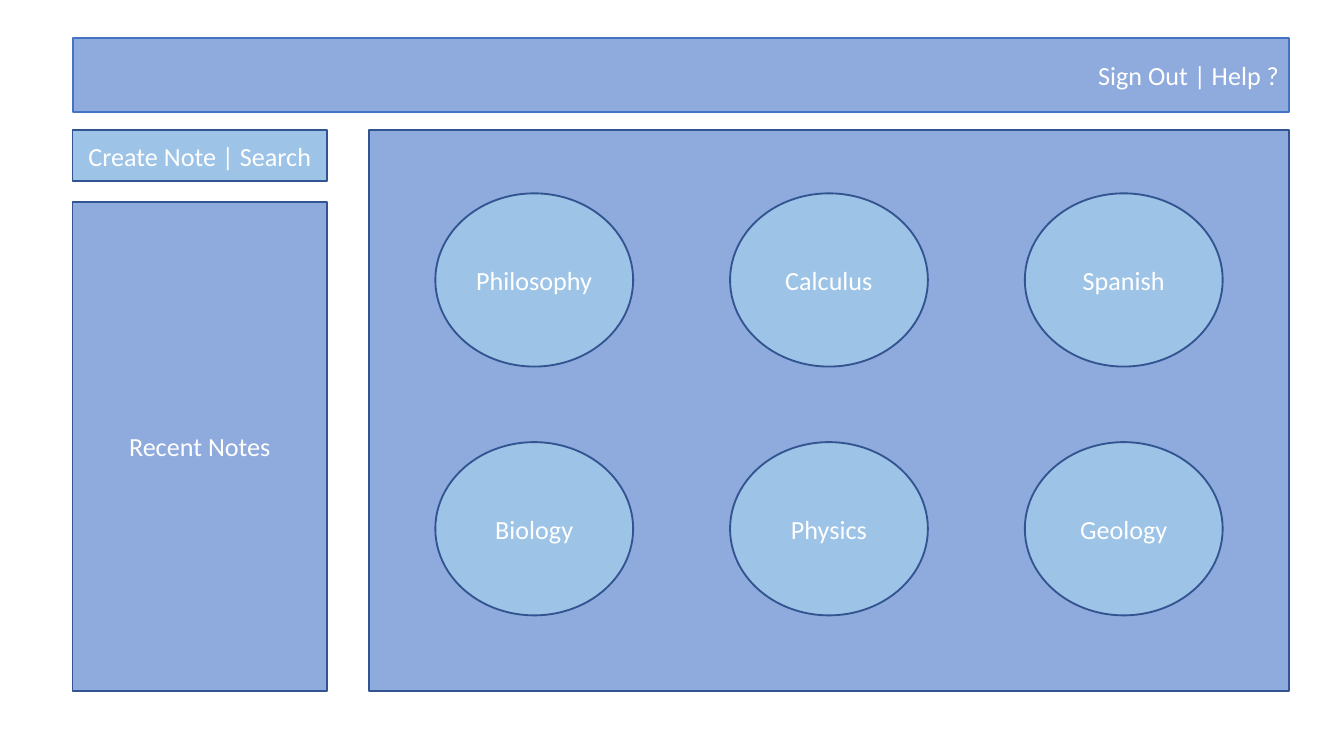
"""Build a wireframe slide of a note-taking app's home screen."""
from dataclasses import dataclass

from pptx import Presentation
from pptx.dml.color import RGBColor
from pptx.enum.shapes import MSO_SHAPE
from pptx.enum.text import MSO_ANCHOR, PP_ALIGN
from pptx.util import Pt


@dataclass(frozen=True)
class Theme:
    """Colours and type of the wireframe."""

    panel: str = "8FAADC"
    accent: str = "9DC3E6"
    outline: str = "325491"
    header_outline: str = "4472C4"
    text: str = "FFFFFF"
    font: str = "Calibri"
    text_size: int = 14
    line_width: int = 1


THEME = Theme()
LEFT, RIGHT = 38.9, 690.6
BODY_TOP, BODY_BOTTOM = 69.8, 370.1
SIDEBAR_WIDTH = 136.4
PANEL_LEFT = 197.5
SUBJECTS = (
    ("Philosophy", "Calculus", "Spanish"),
    ("Biology", "Physics", "Geology"),
)


def set_label(box, label, alignment):
    """Write a one-line label in a shape, centred vertically."""
    frame = box.text_frame
    frame.text = label
    frame.word_wrap = True
    frame.vertical_anchor = MSO_ANCHOR.MIDDLE
    frame.margin_left = frame.margin_right = Pt(5.3)
    frame.margin_top = frame.margin_bottom = Pt(2.7)
    para = frame.paragraphs[0]
    para.alignment = alignment
    for span in para.runs:
        span.font.name = THEME.font
        span.font.size = Pt(THEME.text_size)
        span.font.color.rgb = RGBColor.from_string(THEME.text)


def add_box(page, bounds, label="", fill=THEME.panel, outline=THEME.outline,
            kind=MSO_SHAPE.RECTANGLE, alignment=PP_ALIGN.CENTER):
    """Add a filled, outlined shape with an optional label."""
    box = page.shapes.add_shape(kind, *(Pt(length) for length in bounds))
    box.shadow.inherit = False
    box.fill.solid()
    box.fill.fore_color.rgb = RGBColor.from_string(fill)
    box.line.color.rgb = RGBColor.from_string(outline)
    box.line.width = Pt(THEME.line_width)
    if label:
        set_label(box, label, alignment)


def add_header(page):
    """Add the bar with the account links."""
    add_box(page, (LEFT, 20.4, RIGHT - LEFT, 39.7), "Sign Out | Help ?",
            outline=THEME.header_outline, alignment=PP_ALIGN.RIGHT)


def add_sidebar(page):
    """Add the recent notes list and the action bar above it."""
    notes_top = 108.3
    add_box(page, (LEFT, notes_top, SIDEBAR_WIDTH, BODY_BOTTOM - notes_top),
            "Recent Notes")
    add_box(page, (LEFT, BODY_TOP, SIDEBAR_WIDTH, 27.4),
            "Create Note | Search", fill=THEME.accent)


def add_subjects(page):
    """Add the main panel and its grid of subject circles."""
    add_box(page, (PANEL_LEFT, BODY_TOP, RIGHT - PANEL_LEFT, BODY_BOTTOM - BODY_TOP))
    for row, labels in enumerate(SUBJECTS):
        for column, label in enumerate(labels):
            bounds = (233.2 + column * 157.9, 103.6 + row * 133.3, 106, 92.8)
            add_box(page, bounds, label, fill=THEME.accent, kind=MSO_SHAPE.OVAL)


def main():
    """Build and save the deck."""
    deck = Presentation()
    deck.slide_width, deck.slide_height = Pt(720), Pt(405)
    page = deck.slides.add_slide(deck.slide_layouts[6])
    add_header(page)
    add_sidebar(page)
    add_subjects(page)
    deck.save("out.pptx")


if __name__ == "__main__":
    main()
